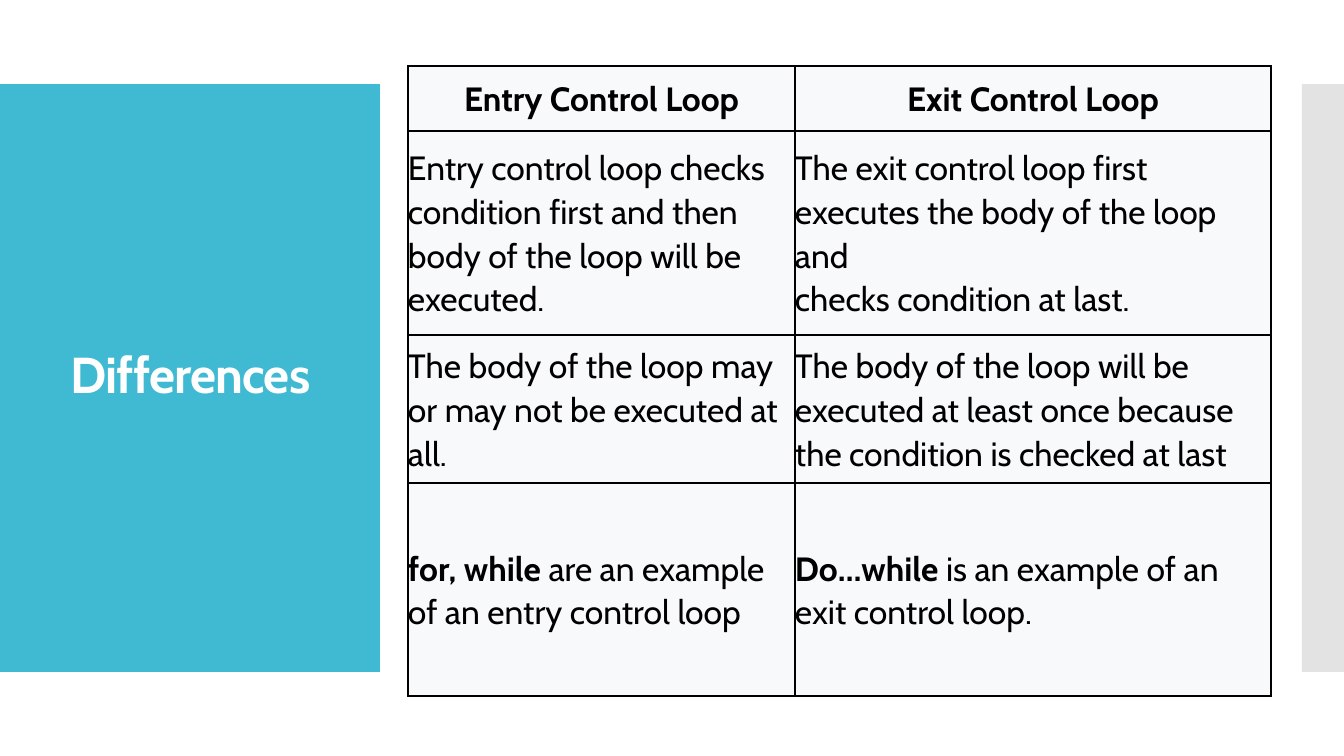
"""Build the slide that compares entry control and exit control loops."""
import dataclasses

import lxml.etree
import pptx
import pptx.dml.color
import pptx.enum.shapes
import pptx.enum.text
import pptx.oxml.ns
import pptx.util

EMU_PER_PX = 914400 / 100.8
FONT = "Cabin"
COLORS = {
    "panel": "40BAD2",
    "edge": "C8C8C8",
    "title": "FFFFFF",
    "cell": "F8F9FB",
    "ink": "000000",
}
COLUMN_WIDTHS = (387, 476)
ROW_HEIGHTS = (65, 204, 148, 213)
ALIGN = pptx.enum.text.PP_ALIGN
MIDDLE = pptx.enum.text.MSO_ANCHOR.MIDDLE
qn = pptx.oxml.ns.qn


@dataclasses.dataclass(frozen=True)
class Panel:
    left: int
    top: int
    width: int
    height: int
    color: str
    opacity: int = 100


@dataclasses.dataclass(frozen=True)
class CellText:
    bold: str = ""
    plain: str = ""


PANELS = (
    Panel(0, 84, 380, 588, "panel"),
    Panel(1302, 84, 42, 588, "edge", opacity=50),
)
ROWS = (
    (CellText(bold="Entry Control Loop"), CellText(bold="Exit Control Loop")),
    (
        CellText(plain="Entry control loop checks condition first and then\n"
                       "body of the loop will be executed."),
        CellText(plain="The exit control loop first executes the body of the loop and\n"
                       "checks condition at last."),
    ),
    (
        CellText(plain="The body of the loop may or may not be executed at all."),
        CellText(plain="The body of the loop will be executed at least once "
                       "because the condition is checked at last"),
    ),
    (
        CellText("for, while ", "are an example of an entry control loop"),
        CellText("Do…while ", "is an example of an exit control loop."),
    ),
)


def px(length: int) -> pptx.util.Emu:
    return pptx.util.Emu(round(length * EMU_PER_PX))


def rgb(name: str) -> pptx.dml.color.RGBColor:
    return pptx.dml.color.RGBColor.from_string(COLORS[name])


def style_font(font, size: int, color: str, bold: bool) -> None:
    font.name = FONT
    font.size = pptx.util.Pt(size)
    font.bold = bold
    font.color.rgb = rgb(color)


def add_panel(slide, panel: Panel) -> None:
    shape = slide.shapes.add_shape(
        pptx.enum.shapes.MSO_SHAPE.RECTANGLE,
        px(panel.left), px(panel.top), px(panel.width), px(panel.height))
    shape.shadow.inherit = False
    shape.fill.solid()
    shape.fill.fore_color.rgb = rgb(panel.color)
    shape.line.fill.background()
    if panel.opacity < 100:
        color = next(shape.element.spPr.iter(qn("a:srgbClr")))
        lxml.etree.SubElement(color, qn("a:alpha"), val=str(panel.opacity * 1000))


def add_title(slide, text: str) -> None:
    shape = slide.shapes.add_textbox(px(28), px(124), px(325), px(507))
    text_frame = shape.text_frame
    text_frame.word_wrap = True
    text_frame.vertical_anchor = MIDDLE
    text_frame.text = text
    paragraph = text_frame.paragraphs[0]
    paragraph.alignment = ALIGN.CENTER
    paragraph.line_spacing = 0.9
    style_font(paragraph.runs[0].font, 36, "title", True)
    next(shape.element.iter(qn("a:rPr"))).set("spc", "-60")


def fill_cell(cell, content: CellText, alignment) -> None:
    cell.margin_left = cell.margin_right = cell.margin_top = cell.margin_bottom = 0
    cell.vertical_anchor = MIDDLE
    cell.fill.solid()
    cell.fill.fore_color.rgb = rgb("cell")
    paragraph = cell.text_frame.paragraphs[0]
    paragraph.text = content.bold or content.plain
    if content.bold and content.plain:
        paragraph.add_run().text = content.plain
    paragraph.alignment = alignment
    paragraph.line_spacing = 1.07
    paragraph.space_after = pptx.util.Pt(8)
    for run in paragraph.runs:
        style_font(run.font, 24, "ink", run.text == content.bold)


def add_borders(properties) -> None:
    for index, side in enumerate(("a:lnL", "a:lnR", "a:lnT", "a:lnB")):
        line = lxml.etree.Element(qn(side), w=str(pptx.util.Pt(1)))
        fill = lxml.etree.SubElement(line, qn("a:solidFill"))
        lxml.etree.SubElement(fill, qn("a:srgbClr"), val=COLORS["ink"])
        properties.insert(index, line)


def add_comparison(slide) -> None:
    frame = slide.shapes.add_table(
        len(ROWS), len(COLUMN_WIDTHS), px(408), px(66),
        px(sum(COLUMN_WIDTHS)), px(sum(ROW_HEIGHTS)))
    table = frame.table
    table.first_row = table.horz_banding = False
    for column, width in zip(table.columns, COLUMN_WIDTHS):
        column.width = px(width)
    for row_index, (height, contents) in enumerate(zip(ROW_HEIGHTS, ROWS)):
        table.rows[row_index].height = px(height)
        alignment = ALIGN.LEFT if row_index else ALIGN.CENTER
        for column_index, content in enumerate(contents):
            fill_cell(table.cell(row_index, column_index), content, alignment)
    for properties in frame.element.iter(qn("a:tcPr")):
        add_borders(properties)


def main() -> None:
    presentation = pptx.Presentation()
    presentation.slide_width = px(1344)
    presentation.slide_height = px(756)
    slide = presentation.slides.add_slide(presentation.slide_layouts[6])
    for panel in PANELS:
        add_panel(slide, panel)
    add_title(slide, "Differences")
    add_comparison(slide)
    presentation.save("out.pptx")


if __name__ == "__main__":
    main()
